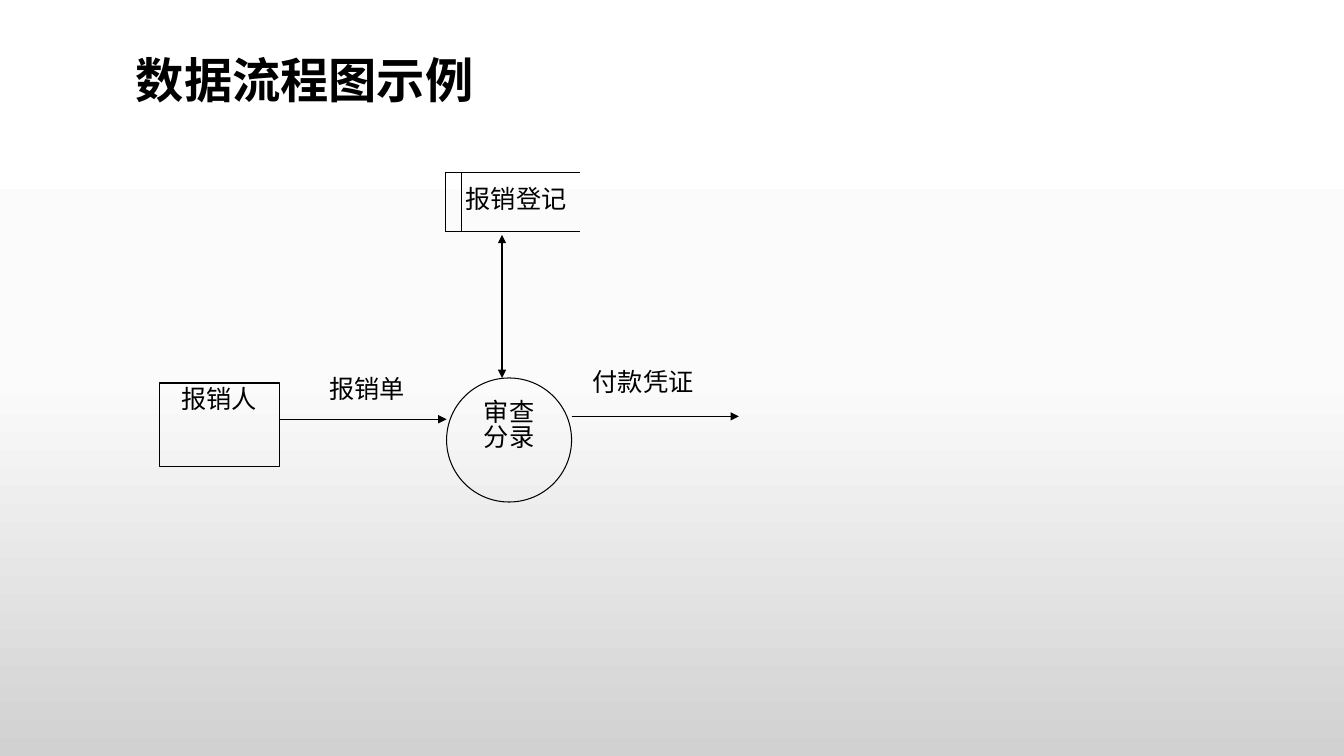
from copy import deepcopy
from dataclasses import dataclass

from lxml import etree
from pptx import Presentation
from pptx.dml import color
from pptx.enum import shapes, text
from pptx.oxml import ns
from pptx.util import Pt


@dataclass(frozen=True)
class Theme:
    font: str = "Noto Sans CJK SC"
    ink: str = "000000"
    backdrop: tuple[str, ...] = ("FFFFFF", "FBFBFB", "D1D1D1")
    title_size: float = 34.5
    body_size: float = 18
    title_spacing: float = 0.9
    body_spacing: float = 0.83
    line_width: float = 0.75


@dataclass(frozen=True)
class Box:
    left: float
    top: float
    width: float
    height: float

    def points(self) -> tuple[Pt, ...]:
        return Pt(self.left), Pt(self.top), Pt(self.width), Pt(self.height)


@dataclass(frozen=True)
class Label:
    wording: str
    box: Box


@dataclass(frozen=True)
class Node:
    wording: str
    box: Box
    outline: shapes.MSO_SHAPE


@dataclass(frozen=True)
class Line:
    start: tuple[float, float]
    end: tuple[float, float]
    arrows: tuple[str, ...] = ()  # "headEnd" at the start, "tailEnd" at the end


THEME = Theme()
INK = color.RGBColor.from_string(THEME.ink)

# Flow labels and the name of the data store
LABEL_SIZE = (139.7, 43.9)
LABELS = [
    Label("付款凭证", Box(389.5, 261.4, *LABEL_SIZE)),
    Label("报销单", Box(192.2, 267.1, *LABEL_SIZE)),
    Label("报销登记", Box(298.8, 131, *LABEL_SIZE)),
]

# External entity and process
CLAIMANT = Node("报销人", Box(113.8, 273.6, 85.7, 59.8), shapes.MSO_SHAPE.RECTANGLE)
REVIEW = Node("审查分录", Box(319, 270, 89.3, 88.6), shapes.MSO_SHAPE.OVAL)

# Data flows
CLAIM_Y, VOUCHER_Y, REGISTER_X = 299.5, 297.4, 358.6
FLOWS = [
    Line((199.5, CLAIM_Y), (319, CLAIM_Y), ("tailEnd",)),
    Line((408.3, VOUCHER_Y), (527.8, VOUCHER_Y), ("tailEnd",)),
    Line((REGISTER_X, 167.8), (REGISTER_X, 270), ("headEnd", "tailEnd")),
]

# Data store, open on the right
STORE = Box(318.2, 123.1, 95.8, 42.5)
STORE_BOTTOM = STORE.top + STORE.height
STORE_EDGES = [
    Line((STORE.left, y), (STORE.left + STORE.width, y)) for y in (STORE_BOTTOM, STORE.top)
] + [Line((x, STORE.top), (x, STORE_BOTTOM)) for x in (STORE.left, STORE.left + 11.6)]


def paint_background(slide) -> None:
    fill = slide.background.fill
    fill.gradient()
    fill.gradient_angle = 270
    stop_list = next(slide.element.iter(ns.qn("a:gsLst")))
    stop_list.append(deepcopy(stop_list[-1]))
    for index, (stop, tint) in enumerate(zip(fill.gradient_stops, THEME.backdrop)):
        stop.position = index / (len(THEME.backdrop) - 1)
        stop.color.rgb = color.RGBColor.from_string(tint)


def write(frame, wording: str, size: float, spacing: float, bold: bool = False) -> None:
    frame.word_wrap = True
    paragraph = frame.paragraphs[0]
    paragraph.text = wording
    paragraph.line_spacing = spacing
    paragraph.alignment = text.PP_ALIGN.LEFT if bold else text.PP_ALIGN.CENTER
    font = paragraph.font
    font.name, font.size, font.bold = THEME.font, Pt(size), bold
    font.color.rgb = INK
    # East Asian characters take their own typeface entry
    properties = paragraph.runs[0].font._element
    for tag in ("a:latin", "a:ea"):
        etree.SubElement(properties, ns.qn(tag), typeface=THEME.font)


def add_title(slide, wording: str, box: Box) -> None:
    frame = slide.shapes.add_textbox(*box.points()).text_frame
    frame.vertical_anchor = text.MSO_ANCHOR.BOTTOM
    write(frame, wording, THEME.title_size, THEME.title_spacing, bold=True)


def add_label(slide, label: Label) -> None:
    frame = slide.shapes.add_textbox(*label.box.points()).text_frame
    write(frame, label.wording, THEME.body_size, THEME.body_spacing)


def add_node(slide, node: Node) -> None:
    shape = slide.shapes.add_shape(node.outline, *node.box.points())
    shape.shadow.inherit = False
    shape.fill.background()
    shape.line.color.rgb = INK
    shape.line.width = Pt(THEME.line_width)
    shape.text_frame.vertical_anchor = text.MSO_ANCHOR.TOP
    write(shape.text_frame, node.wording, THEME.body_size, THEME.body_spacing)


def add_line(slide, line: Line) -> None:
    ends = [Pt(value) for value in (*line.start, *line.end)]
    connector = slide.shapes.add_connector(shapes.MSO_CONNECTOR.STRAIGHT, *ends)
    connector.line.color.rgb = INK
    connector.line.width = Pt(THEME.line_width)
    for arrow in line.arrows:
        etree.SubElement(connector.line._get_or_add_ln(), ns.qn(f"a:{arrow}"), type="triangle")
    etree.SubElement(connector.element.spPr, ns.qn("a:effectLst"))


def main() -> None:
    deck = Presentation()
    deck.slide_width, deck.slide_height = Pt(960), Pt(540)
    slide = deck.slides.add_slide(deck.slide_layouts[6])

    paint_background(slide)
    add_title(slide, "数据流程图示例", Box(90, 36, 612, 45.4))
    for label in LABELS:
        add_label(slide, label)
    for node in (CLAIMANT, REVIEW):
        add_node(slide, node)
    for line in FLOWS + STORE_EDGES:
        add_line(slide, line)

    deck.save("out.pptx")


if __name__ == "__main__":
    main()
